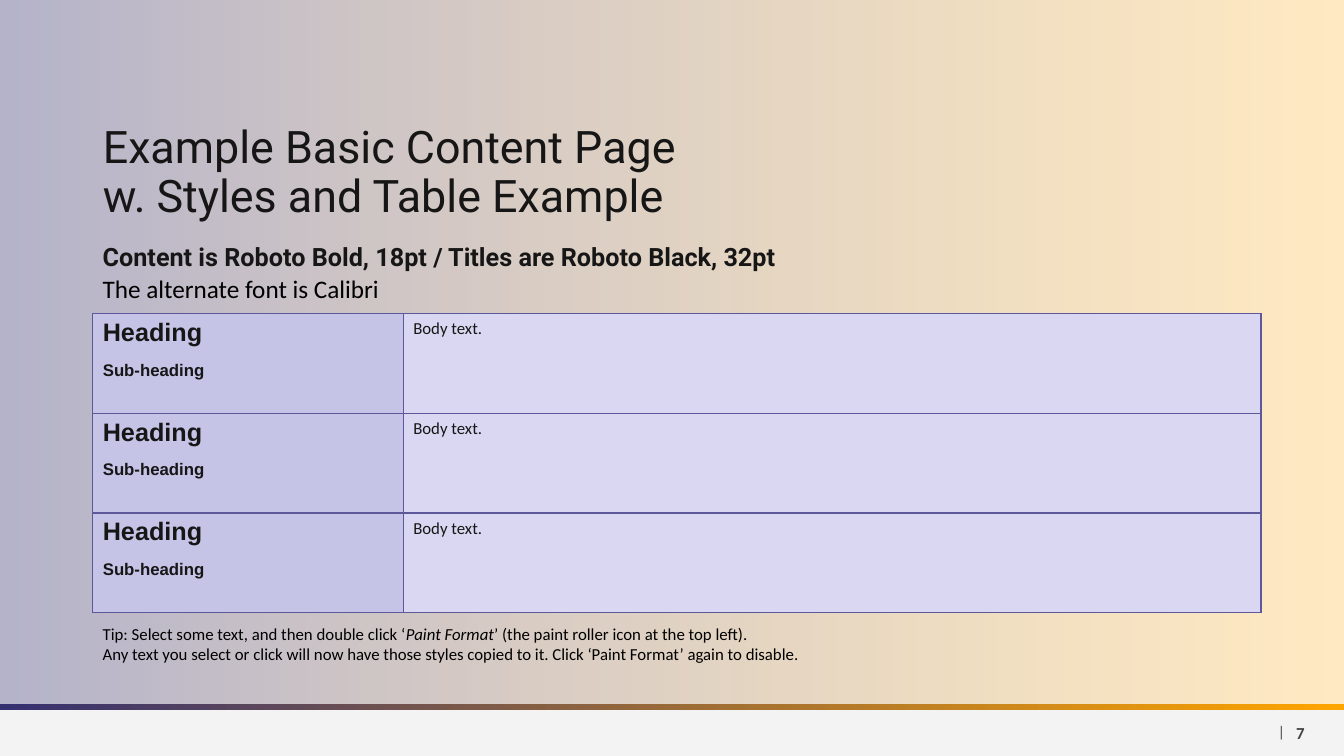
from pptx import Presentation
from pptx.dml.color import RGBColor
from pptx.enum import shapes, text
from pptx.oxml import ns, parse_xml
from pptx.util import Pt

COLORS = {
    "ink": "171616", "black": "000000", "gray": "434343", "footer": "F3F3F3",
    "purple": "353070", "orange": "FFA500", "border": "5D589A",
    "heading": "C5C3E6", "body": "D9D7F1",
}
W, H = 960, 540
LEFT, WIDTH = 66.24, 834.48


def rgb(name):
    """Return the palette colour called name."""
    return RGBColor.from_string(COLORS[name])


def write(p, content, size=12, font="Calibri", color="ink", bold=False,
          italic=False, align=None, spacing=None, before=None):
    """Add formatted text to a paragraph, with line breaks at newlines."""
    for i, line in enumerate(content.split("\n")):
        if i:
            p.add_line_break()
        r = p.add_run()
        r.text = line
        r.font.size, r.font.name = Pt(size), font
        r.font.bold, r.font.italic = bold, italic
        r.font.color.rgb = rgb(color)
    if align is not None:
        p.alignment = align
    if spacing is not None:
        p.line_spacing = spacing
    if before is not None:
        p.space_before = Pt(before)


def text_box(s, x, y, w, h, anchor=text.MSO_ANCHOR.TOP):
    """Add a wrapping text box and return its first paragraph."""
    tf = s.shapes.add_textbox(Pt(x), Pt(y), Pt(w), Pt(h)).text_frame
    tf.word_wrap = True
    tf.vertical_anchor = anchor
    return tf.paragraphs[0]


def band(s, x, y, w, h, colors, alphas=()):
    """Add a rectangle filled with one colour or a left-to-right gradient."""
    sp = s.shapes.add_shape(shapes.MSO_SHAPE.RECTANGLE, Pt(x), Pt(y), Pt(w), Pt(h))
    sp.shadow.inherit = False
    sp.line.fill.background()
    if len(colors) == 1:
        sp.fill.solid()
        sp.fill.fore_color.rgb = rgb(colors[0])
        return
    sp.fill.gradient()
    sp.fill.gradient_angle = 0
    for stop, color in zip(sp.fill.gradient_stops, colors):
        stop.color.rgb = rgb(color)
    for clr, alpha in zip(sp._element.spPr.iter(ns.qn("a:srgbClr")), alphas):
        clr.append(parse_xml(f'<a:alpha {ns.nsdecls("a")} val="{alpha * 1000}"/>'))


def backdrop(s, x, y, w, h):
    """Draw the tinted background, the footer and the page number."""
    foot, rule = 33.12, 4.32
    top = y + h - foot
    gradient = ("purple", "orange")
    band(s, x, top, w, foot, ("footer",))
    band(s, x, y, w, top - rule + 1.4, gradient, (37, 24))
    middle = text.MSO_ANCHOR.MIDDLE
    write(text_box(s, x + w - 41.28, top + 2.16, 41.28, 28.8, middle), "7",
          color="gray", bold=True)
    write(text_box(s, x + w - 54.24, top + 1.44, 18.72, 28.8, middle), "|",
          size=11, color="gray", align=text.PP_ALIGN.RIGHT)
    band(s, x, top - rule, w, rule, gradient)


def heading(s, x, y, w, h):
    """Place the title and the two lines that show the fonts."""
    title = s.shapes.title
    s.shapes._spTree.append(title._element)
    title.left, title.top, title.width, title.height = Pt(x), Pt(y), Pt(w), Pt(h)
    tf = title.text_frame
    tf.word_wrap = True
    tf.auto_size = text.MSO_AUTO_SIZE.NONE
    tf.vertical_anchor = text.MSO_ANCHOR.BOTTOM
    write(tf.paragraphs[0], "Example Basic Content Page\nw. Styles and Table Example",
          size=32, font="Roboto", align=text.PP_ALIGN.LEFT, spacing=0.9, before=0)
    write(text_box(s, x, y + h + 9.36, w, 28.8),
          "Content is Roboto Bold, 18pt / Titles are Roboto Black, 32pt",
          size=18, font="Roboto", bold=True, spacing=0.9)
    write(text_box(s, x, y + h + 29.52, w, 28.8), "The alternate font is Calibri",
          size=18, color="black")


def paint_cell(cell, color):
    """Fill a cell and give it thin borders."""
    cell.fill.solid()
    cell.fill.fore_color.rgb = rgb(color)
    tcPr = cell._tc.get_or_add_tcPr()
    for i, side in enumerate(("lnL", "lnR", "lnT", "lnB")):
        tcPr.insert(i, parse_xml(
            f'<a:{side} {ns.nsdecls("a")} w="12700"><a:solidFill>'
            f'<a:srgbClr val="{COLORS["border"]}"/></a:solidFill></a:{side}>'))


def style_table(s, x, y, w, h, rows=3):
    """Add the table of headings and body text."""
    table = s.shapes.add_table(rows, 2, Pt(x), Pt(y), Pt(w), Pt(h)).table
    table.first_row = table.horz_banding = False
    label = 221.76
    table.columns[0].width, table.columns[1].width = Pt(label), Pt(w - label)
    for row in table.rows:
        row.height = Pt(h / rows)
        left, right = row.cells
        tf = left.text_frame
        write(tf.paragraphs[0], "Heading", size=18, font="Arial", bold=True)
        write(tf.add_paragraph(), "Sub-heading", font="Arial", bold=True, before=10)
        write(right.text_frame.paragraphs[0], "Body text.")
        paint_cell(left, "heading")
        paint_cell(right, "body")


def tip(s, x, y, w, h):
    """Add the tip below the table."""
    p = text_box(s, x, y, w, h)
    write(p, "Tip: Select some text, and then double click ‘", color="black")
    write(p, "Paint Format", color="black", italic=True)
    write(p, "’ (the paint roller icon at the top left).\nAny text you select or click "
          "will now have those styles copied to it. Click ‘Paint Format’ again to disable.",
          color="black")


def main():
    """Build and save the slide."""
    prs = Presentation()
    prs.slide_width, prs.slide_height = Pt(W), Pt(H)
    s = prs.slides.add_slide(prs.slide_layouts[5])
    backdrop(s, 0, 0, W, H)
    heading(s, LEFT, 36, WIDTH, 126)
    style_table(s, LEFT, 223.92, WIDTH, 213.84)
    tip(s, LEFT, 442.08, WIDTH, 36)
    prs.save("out.pptx")


if __name__ == "__main__":
    main()
